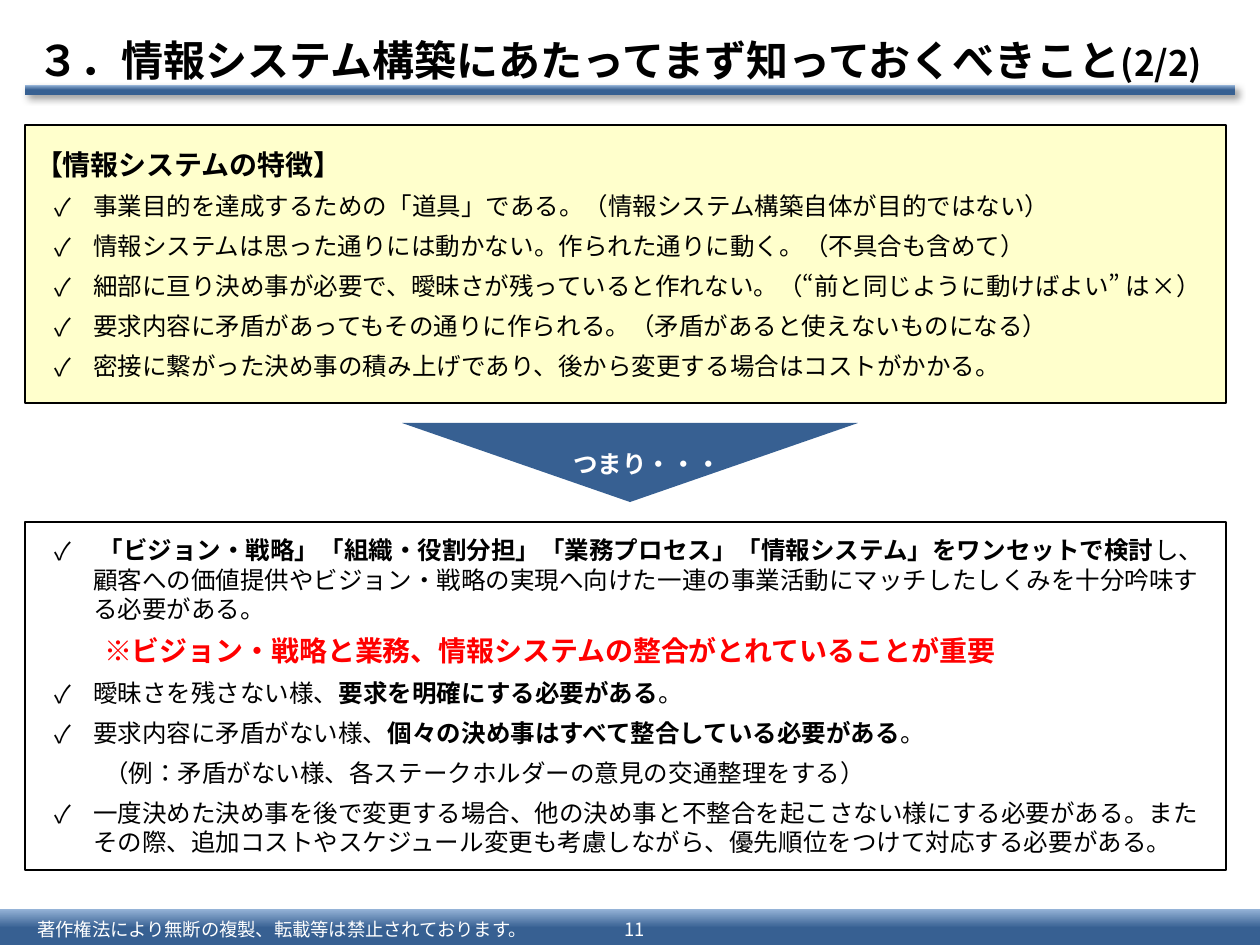
from lxml import etree
from pptx import Presentation
from pptx.dml.color import RGBColor
from pptx.enum.lang import MSO_LANGUAGE_ID
from pptx.enum.shapes import MSO_SHAPE
from pptx.enum.text import MSO_ANCHOR, MSO_AUTO_SIZE, PP_ALIGN
from pptx.oxml.ns import qn
from pptx.util import Emu, Pt

RECTANGLE, TRIANGLE = MSO_SHAPE.RECTANGLE, MSO_SHAPE.ISOSCELES_TRIANGLE
MIDDLE, NO_FIT = MSO_ANCHOR.MIDDLE, MSO_AUTO_SIZE.NONE
LEFT, CENTER = PP_ALIGN.LEFT, PP_ALIGN.CENTER
JAPANESE = MSO_LANGUAGE_ID.JAPANESE
EMU_PER_PX = 914400 / 126
FONT = "Noto Sans CJK JP"
COLORS = {
    "text": "000000", "white": "FFFFFF", "cream": "FFFFCC",
    "navy": "376092", "sky": "95B3D7", "alert": "FF0000",
}

FEATURES = [
    ("heading", [("【情報システムの特徴】", "strong")]),
    ("check", [("事業目的を達成するための「道具」である。（情報システム構築自体が目的ではない）", "plain")]),
    ("check", [("情報システムは思った通りには動かない。作られた通りに動く。（不具合も含めて）", "plain")]),
    ("check", [("細部に亘り決め事が必要で、曖昧さが残っていると作れない。（“前と同じように動けばよい” は×）", "plain")]),
    ("check", [("要求内容に矛盾があってもその通りに作られる。（矛盾があると使えないものになる）", "plain")]),
    ("check", [("密接に繋がった決め事の積み上げであり、後から変更する場合はコストがかかる。", "plain")]),
]
CONCLUSIONS = [
    ("check", [
        (" 「ビジョン・戦略」「組織・役割分担」「業務プロセス」「情報システム」をワンセットで検討", "bold"),
        ("し、顧客への価値提供やビジョン・戦略の実現へ向けた一連の事業活動にマッチしたしくみを十分吟味する必要がある。", "plain"),
    ]),
    ("note", [("※ビジョン・戦略と業務、情報システムの整合がとれていることが重要", "alert")]),
    ("check", [("曖昧さを残さない様、", "plain"), ("要求を明確にする必要がある", "bold"), ("。", "plain")]),
    ("check", [("要求内容に矛盾がない様、", "plain"), ("個々の決め事はすべて整合している必要がある", "bold"), ("。", "plain")]),
    ("note", [("（例：矛盾がない様、各ステークホルダーの意見の交通整理をする）", "plain")]),
    ("check", [("一度決めた決め事を後で変更する場合、他の決め事と不整合を起こさない様にする必要がある。"
                "またその際、追加コストやスケジュール変更も考慮しながら、優先順位をつけて対応する必要がある。", "plain")]),
]
RUN_STYLES = {
    "plain": (14, "text", False), "bold": (14, "text", True),
    "strong": (16, "text", True), "alert": (16, "alert", True),
}
INDENTS = {"heading": (0, 0), "check": (58, -39), "note": (69, 0)}


def px(length):
    """Turn pixels into EMU."""
    return Emu(round(length * EMU_PER_PX))


def rgb(name):
    """Look up a palette colour."""
    return RGBColor.from_string(COLORS[name])


def place(shape, box):
    """Set the left, top, width and height of a shape."""
    shape.left, shape.top, shape.width, shape.height = map(px, box)


def style_run(run, size, color, bold=False):
    """Format a Japanese run in both its Latin and East Asian fonts."""
    run.font.name = FONT
    run.font.size = Pt(size)
    run.font.bold = bold
    run.font.language_id = JAPANESE
    run.font.color.rgb = rgb(color)
    run.font._element.find(qn("a:latin")).addnext(
        etree.Element(qn("a:ea"), typeface=FONT))


def add_runs(paragraph, pieces):
    """Append styled pieces of text to a paragraph."""
    for text, style in pieces:
        run = paragraph.add_run()
        run.text = text
        style_run(run, *RUN_STYLES[style])


def set_indent(paragraph, kind):
    """Give a paragraph its indent and its check mark, if any."""
    properties = paragraph._p.get_or_add_pPr()
    margin, hanging = INDENTS[kind]
    properties.set("marL", str(px(margin)))
    properties.set("indent", str(px(hanging)))
    if kind == "check":
        etree.SubElement(properties, qn("a:buFont"), typeface=FONT)
        etree.SubElement(properties, qn("a:buChar"), char="✓")
    else:
        etree.SubElement(properties, qn("a:buNone"))


def fill_panel(panel, box, fill, border, items):
    """Turn a body placeholder into a bordered checklist."""
    place(panel, box)
    panel.fill.solid()
    panel.fill.fore_color.rgb = rgb(fill)
    panel.line.color.rgb = rgb("text")
    panel.line.width = Pt(border)
    frame = panel.text_frame
    frame.word_wrap = True
    frame.auto_size = NO_FIT
    frame.vertical_anchor = MIDDLE
    frame.margin_left = frame.margin_right = px(10)
    frame.margin_top = frame.margin_bottom = 0
    for index, (kind, pieces) in enumerate(items):
        paragraph = frame.add_paragraph() if index else frame.paragraphs[0]
        set_indent(paragraph, kind)
        paragraph.space_before = Pt(6 if index else 0)
        add_runs(paragraph, pieces)


def fill_title(title):
    """Write the slide title with its smaller page count."""
    place(title, (25, 26, 1235, 68))
    frame = title.text_frame
    frame.auto_size = NO_FIT
    frame.vertical_anchor = MIDDLE
    heading = frame.paragraphs[0]
    heading.alignment = LEFT
    for text, size in (("３．情報システム構築にあたってまず知っておくべきこと", 24), ("(2/2)", 20)):
        run = heading.add_run()
        run.text = text
        style_run(run, size, "text", True)


def add_band(slide, box):
    """Add a borderless bar shaded from navy up to sky."""
    band = slide.shapes.add_shape(RECTANGLE, *map(px, box))
    band.shadow.inherit = False
    band.line.fill.background()
    band.fill.gradient()
    band.fill.gradient_angle = 90
    for stop, position, color in zip(band.fill.gradient_stops, (0.5, 1), ("navy", "sky")):
        stop.position = position
        stop.color.rgb = rgb(color)
    return band


def add_shadow(shape):
    """Cast a soft shadow down and to the right."""
    effects = shape._element.spPr.find(qn("a:effectLst"))
    shadow = etree.SubElement(
        effects, qn("a:outerShdw"), blurRad=str(Pt(4)), dist=str(Pt(3)),
        dir="2700000", algn="tl", rotWithShape="0")
    color = etree.SubElement(shadow, qn("a:srgbClr"), val=COLORS["text"])
    etree.SubElement(color, qn("a:alpha"), val="40000")


def add_label(slide, box, text, size, bold=False, alignment=LEFT, wrap=True):
    """Add a white one-line label."""
    label = slide.shapes.add_textbox(*map(px, box))
    frame = label.text_frame
    frame.word_wrap = wrap
    frame.vertical_anchor = MIDDLE
    frame.text = text
    frame.paragraphs[0].alignment = alignment
    style_run(frame.paragraphs[0].runs[0], size, "white", bold)


def add_down_arrow(slide, box):
    """Add the triangle that points from features to conclusions."""
    arrow = slide.shapes.add_shape(TRIANGLE, *map(px, box))
    arrow.rotation = 180
    arrow.shadow.inherit = False
    arrow.fill.solid()
    arrow.fill.fore_color.rgb = rgb("navy")
    arrow.line.fill.background()


def main():
    """Build and save the slide."""
    deck = Presentation()
    deck.slide_width, deck.slide_height = px(1260), px(945)
    slide = deck.slides.add_slide(deck.slide_layouts[3])
    title, features, conclusions = slide.placeholders
    fill_title(title)
    fill_panel(features, (25, 125, 1201, 278), "cream", 0.75, FEATURES)
    fill_panel(conclusions, (25, 522, 1201, 348), "white", 1.5, CONCLUSIONS)
    add_shadow(add_band(slide, (25, 85, 1210, 10)))
    add_band(slide, (0, 909, 1260, 38))
    add_label(slide, (25, 913, 536, 32), "著作権法により無断の複製、転載等は禁止されております。", 10.5)
    add_label(slide, (600, 913, 69, 32), "11", 10.5, alignment=CENTER)
    add_down_arrow(slide, (402, 423, 456, 79))
    add_label(slide, (561, 442, 174, 43), "つまり・・・", 14, bold=True, wrap=False)
    deck.save("out.pptx")


if __name__ == "__main__":
    main()
